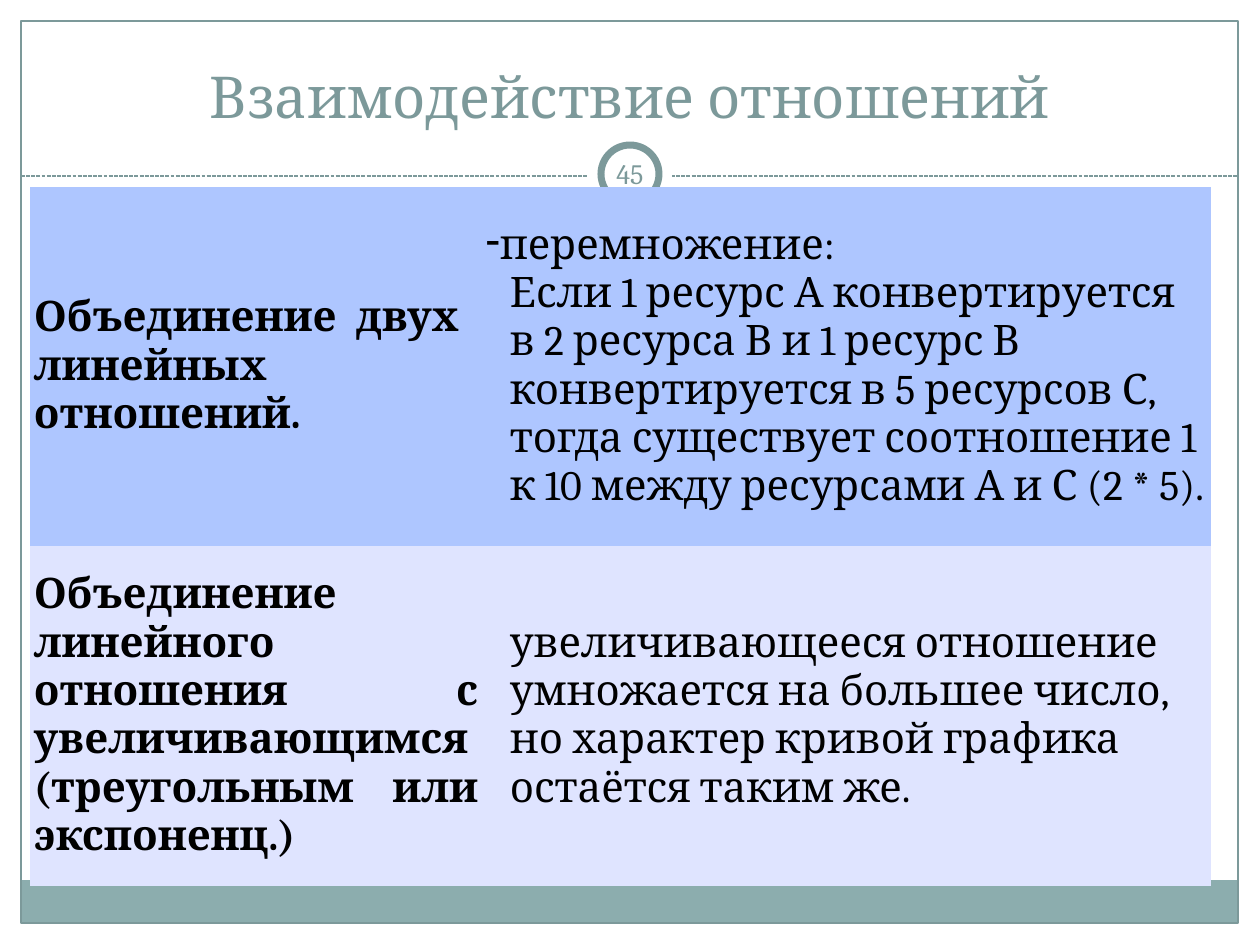
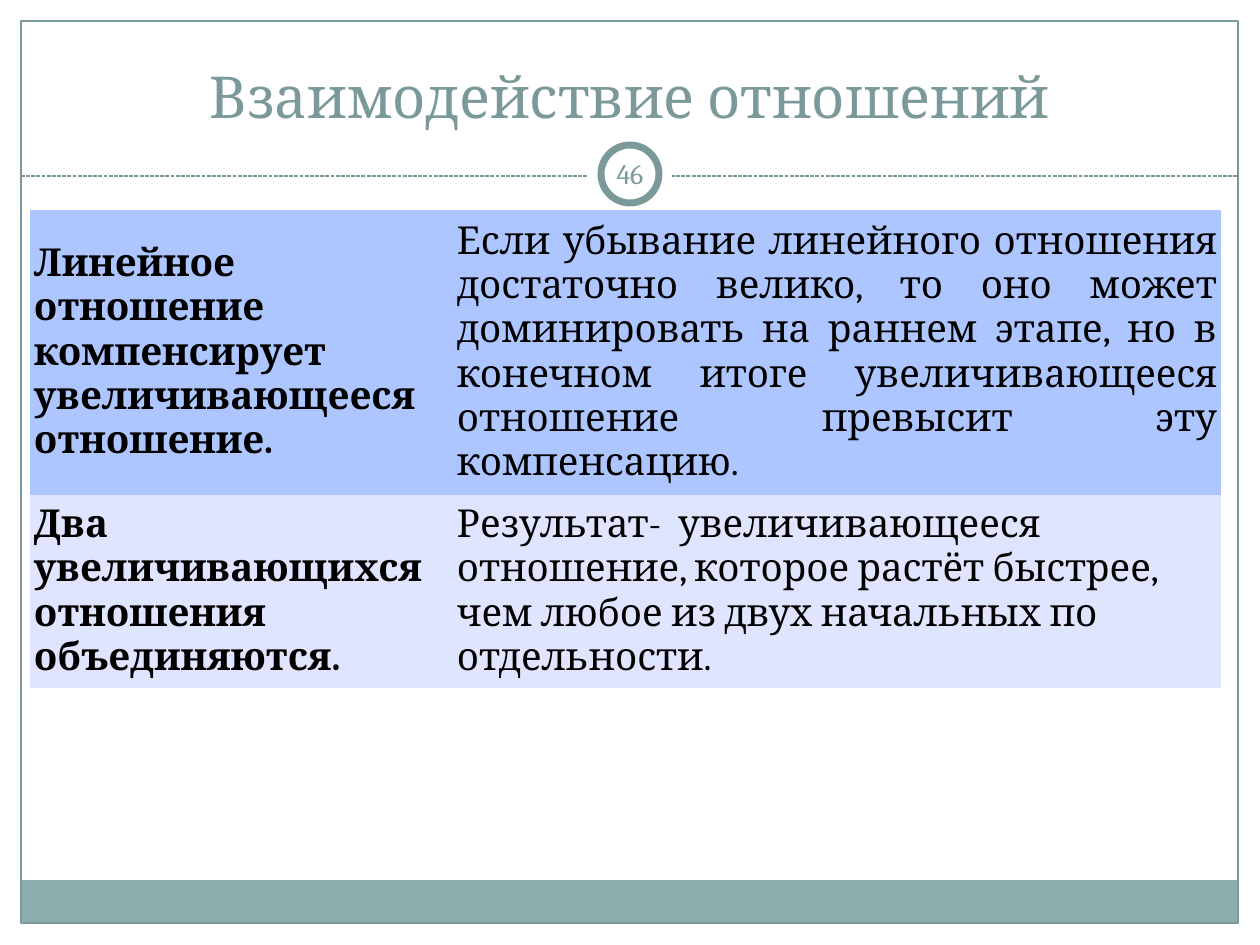
from dataclasses import dataclass

from lxml import etree
from pptx import Presentation
from pptx.dml.color import RGBColor
from pptx.enum.dml import MSO_LINE
from pptx.enum.shapes import MSO_CONNECTOR, MSO_SHAPE
from pptx.enum.text import MSO_ANCHOR, MSO_AUTO_SIZE, PP_ALIGN
from pptx.oxml.ns import qn
from pptx.util import Emu, Pt

RECT = MSO_SHAPE.RECTANGLE
OVAL = MSO_SHAPE.OVAL
STRAIGHT = MSO_CONNECTOR.STRAIGHT
DASH = MSO_LINE.SQUARE_DOT
MIDDLE = MSO_ANCHOR.MIDDLE
BOTTOM = MSO_ANCHOR.BOTTOM
LEFT = PP_ALIGN.LEFT
CENTER = PP_ALIGN.CENTER
JUSTIFY = PP_ALIGN.JUSTIFY

PX_PER_INCH = 126
FONT = "Cambria"
WHITE = "FFFFFF"
BLACK = "000000"
TEAL = "7C999A"
BAND = "8CADAE"
ROW_FILLS = ("AEC6FF", "DFE4FF")
NO_TABLE_STYLE = "{2D5ABB26-0587-4C30-8999-92F81FD0307C}"
TITLE = "Взаимодействие отношений"
CELL_MARGIN = 4
INDENT = 24


@dataclass(frozen=True)
class Box:
    left: int
    top: int
    width: int
    height: int

    def emu(self) -> tuple[Emu, ...]:
        return tuple(px(n) for n in (self.left, self.top, self.width, self.height))


@dataclass(frozen=True)
class Decor:
    kind: int
    box: Box
    fill: str = ""
    line: str = ""
    weight: float = 0.75


@dataclass(frozen=True)
class Para:
    text: str
    bold: bool = False
    align: int = LEFT
    indent: int = 0
    bullet: str = ""


@dataclass(frozen=True)
class RelationTable:
    left: int
    top: int
    cols: tuple[int, ...]
    heights: tuple[int, ...]
    size: int
    rows: tuple[tuple[tuple[Para, ...], ...], ...]


@dataclass(frozen=True)
class Page:
    number: int
    table: RelationTable


FRAME = Box(21, 21, 1217, 902)
RULE_Y = 176
TITLE_BOX = Box(42, 32, 1176, 104)
NUMBER_BOX = Box(599, 143, 62, 60)
BOTTOM_BAND = Decor(RECT, Box(21, 880, 1217, 43), fill=BAND)
OUTLINE = Decor(RECT, FRAME, line=TEAL)
BADGE = Decor(OVAL, Box(588, 132, 84, 84), fill=WHITE)
RING = Decor(OVAL, Box(601, 145, 58, 58), fill=WHITE, line=TEAL, weight=4)

PAGES = (
    Page(45, RelationTable(30, 187, (452, 729), (359, 340), 24, (
        (
            (Para("Объединение двух  линейных отношений.", bold=True, align=JUSTIFY),),
            (
                Para("перемножение:", bullet="-"),
                Para("Если 1 ресурс А конвертируется в 2 ресурса В и 1 ресурс В  "
                     "конвертируется в 5 ресурсов С, тогда существует соотношение "
                     "1 к 10 между ресурсами А и С (2 * 5).", indent=INDENT),
            ),
        ),
        (
            (Para("Объединение линейного отношения с увеличивающимся "
                  "(треугольным или экспоненц.)", bold=True, align=JUSTIFY),),
            (Para("увеличивающееся отношение умножается на большее число, "
                  "но характер кривой графика остаётся таким же.", indent=INDENT),),
        ),
    ))),
    Page(46, RelationTable(30, 210, (423, 768), (285, 184), 22, (
        (
            (Para("Линейное отношение компенсирует увеличивающееся отношение.",
                  bold=True),),
            (Para("Если убывание линейного отношения достаточно велико, то оно "
                  "может доминировать на раннем этапе, но в конечном итоге "
                  "увеличивающееся отношение превысит эту компенсацию. ",
                  align=JUSTIFY),),
        ),
        (
            (Para("Два увеличивающихся отношения объединяются.", bold=True),),
            (Para("Результат-  увеличивающееся отношение, которое растёт быстрее, "
                  "чем любое из двух начальных по отдельности."),),
        ),
    ))),
)


def px(n: int) -> Emu:
    return Emu(round(n * 914400 / PX_PER_INCH))


def rgb(value: str) -> RGBColor:
    return RGBColor.from_string(value)


def add_run(p, text: str, size: int, color: str, bold: bool = False) -> None:
    r = p.add_run()
    r.text = text
    r.font.name = FONT
    r.font.size = Pt(size)
    r.font.bold = bold
    r.font.color.rgb = rgb(color)


def draw_decor(s, decor: Decor) -> None:
    sp = s.shapes.add_shape(decor.kind, *decor.box.emu())
    sp.shadow.inherit = False
    if decor.fill:
        sp.fill.solid()
        sp.fill.fore_color.rgb = rgb(decor.fill)
    else:
        sp.fill.background()
    if decor.line:
        sp.line.color.rgb = rgb(decor.line)
        sp.line.width = Pt(decor.weight)
    else:
        sp.line.fill.background()


def draw_rule(s) -> None:
    y = px(RULE_Y)
    rule = s.shapes.add_connector(
        STRAIGHT, px(FRAME.left), y, px(FRAME.left + FRAME.width), y)
    rule.line.color.rgb = rgb(TEAL)
    rule.line.width = Pt(0.75)
    rule.line.dash_style = DASH
    etree.SubElement(rule._element.spPr, qn("a:effectLst"))


def draw_title(s) -> None:
    title = s.shapes.title
    title.left, title.top, title.width, title.height = TITLE_BOX.emu()
    tf = title.text_frame
    tf.auto_size = MSO_AUTO_SIZE.NONE
    tf.vertical_anchor = BOTTOM
    p = tf.paragraphs[0]
    p.alignment = CENTER
    add_run(p, TITLE, 33, TEAL)


def draw_number(s, number: int) -> None:
    tf = s.shapes.add_textbox(*NUMBER_BOX.emu()).text_frame
    tf.word_wrap = True
    tf.vertical_anchor = MIDDLE
    tf.margin_left = tf.margin_right = tf.margin_top = tf.margin_bottom = px(6)
    p = tf.paragraphs[0]
    p.alignment = CENTER
    add_run(p, str(number), 16, TEAL)


def fill_cell(cell, paras: tuple[Para, ...], size: int, fill: str) -> None:
    cell.fill.solid()
    cell.fill.fore_color.rgb = rgb(fill)
    cell.vertical_anchor = MIDDLE
    cell.margin_left = cell.margin_right = px(CELL_MARGIN)
    cell.margin_top = cell.margin_bottom = px(CELL_MARGIN)
    tf = cell.text_frame
    for i, para in enumerate(paras):
        p = tf.add_paragraph() if i else tf.paragraphs[0]
        p.alignment = para.align
        pPr = p._p.get_or_add_pPr()
        pPr.set("marL", str(px(para.indent)))
        pPr.set("indent", "0")
        if para.bullet:
            etree.SubElement(pPr, qn("a:buFontTx"))
            etree.SubElement(pPr, qn("a:buChar"), char=para.bullet)
        add_run(p, para.text, size, BLACK, para.bold)


def draw_table(s, spec_table: RelationTable) -> None:
    box = Box(spec_table.left, spec_table.top,
              sum(spec_table.cols), sum(spec_table.heights))
    table = s.shapes.add_table(
        len(spec_table.heights), len(spec_table.cols), *box.emu()).table
    table.first_row = table.horz_banding = False
    table._tbl.tblPr.find(qn("a:tableStyleId")).text = NO_TABLE_STYLE
    for col, width in zip(table.columns, spec_table.cols):
        col.width = px(width)
    for row, height, texts, fill in zip(
            table.rows, spec_table.heights, spec_table.rows, ROW_FILLS):
        row.height = px(height)
        for cell, paras in zip(row.cells, texts):
            fill_cell(cell, paras, spec_table.size, fill)


def draw_page(prs, page: Page) -> None:
    s = prs.slides.add_slide(prs.slide_layouts[5])
    for decor in (BOTTOM_BAND, OUTLINE):
        draw_decor(s, decor)
    draw_rule(s)
    for decor in (BADGE, RING):
        draw_decor(s, decor)
    draw_title(s)
    draw_number(s, page.number)
    draw_table(s, page.table)


def main() -> None:
    prs = Presentation()
    prs.slide_width = px(1260)
    prs.slide_height = px(945)
    for page in PAGES:
        draw_page(prs, page)
    prs.save("out.pptx")


if __name__ == "__main__":
    main()
